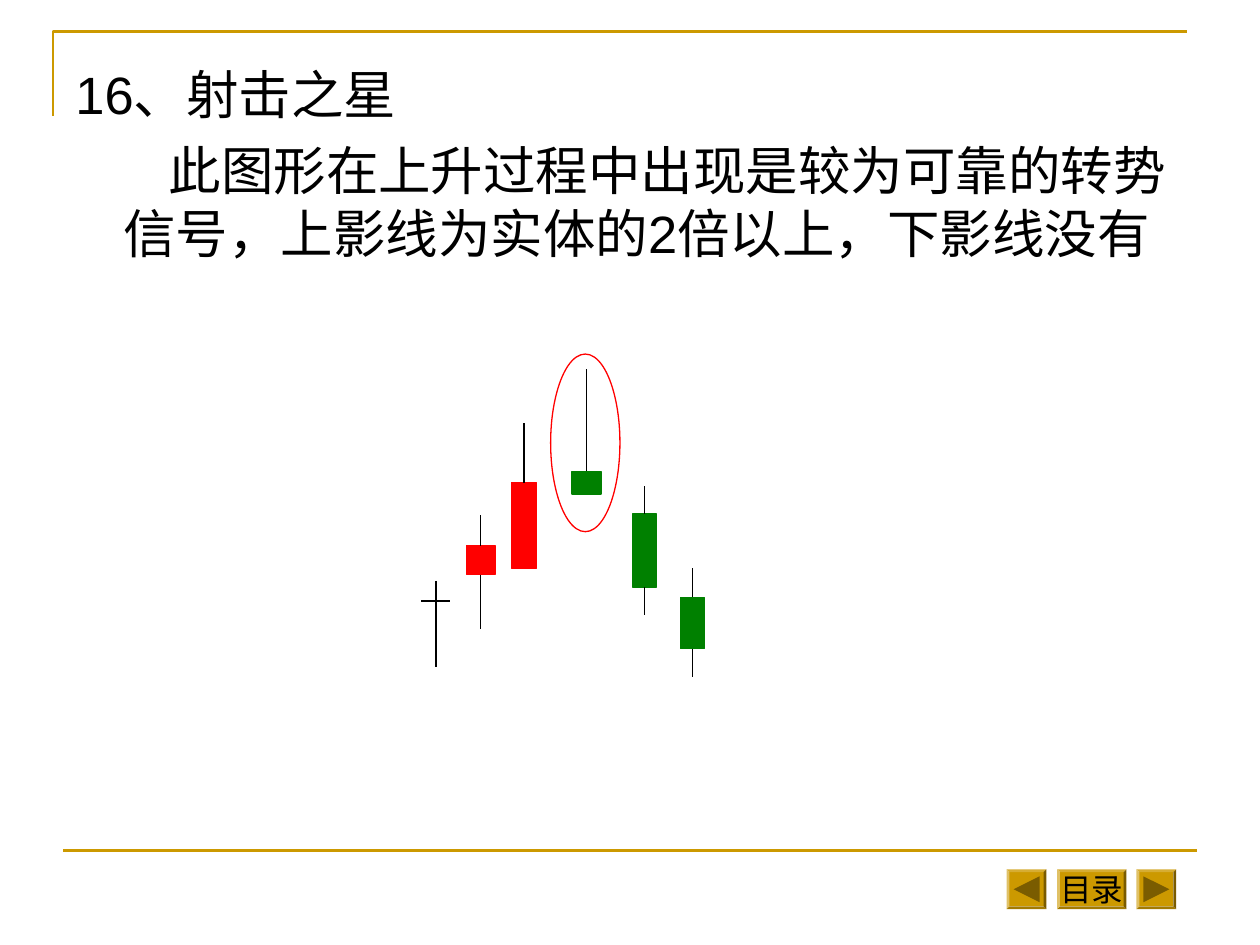
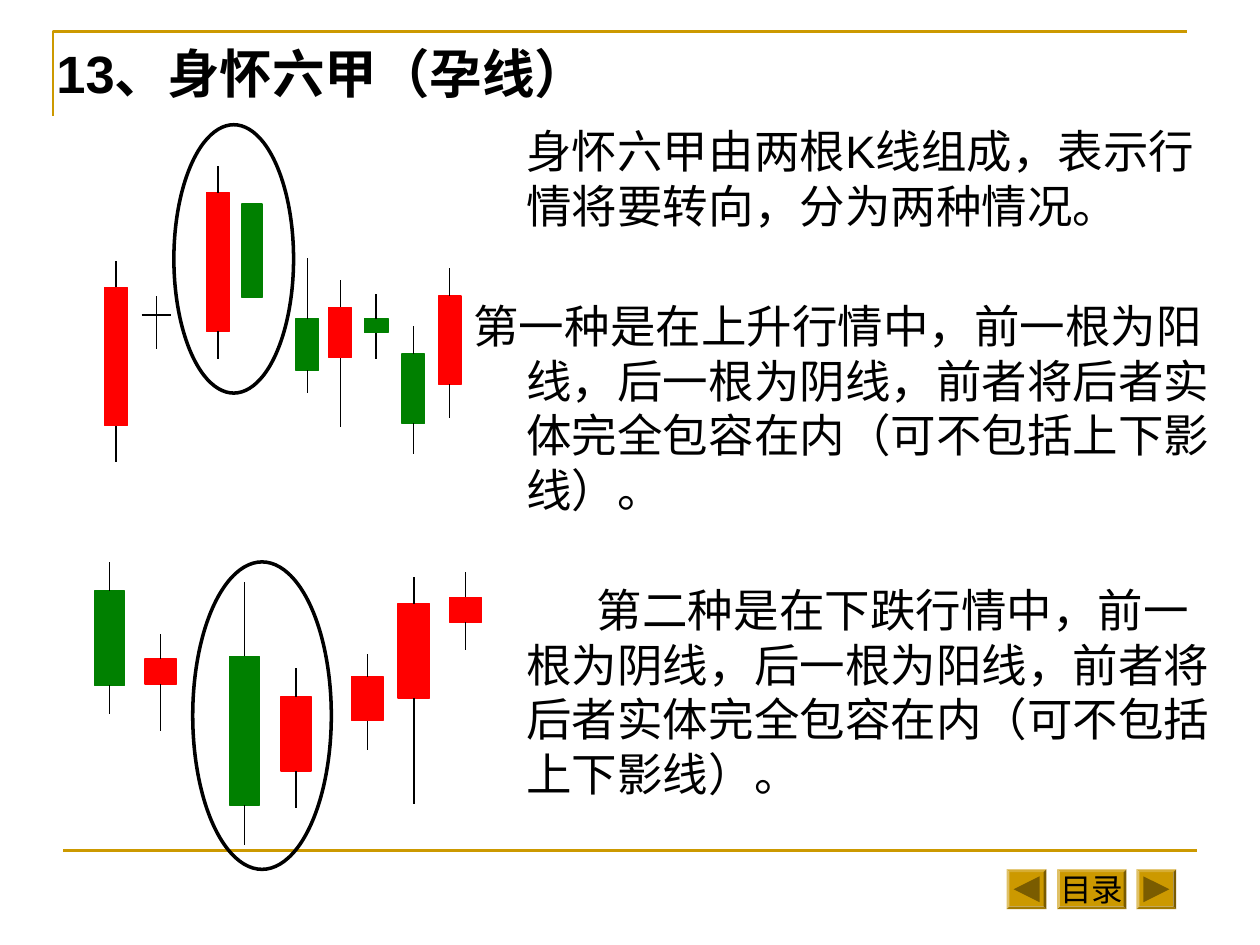
"""Build two slides on candlestick patterns, on a grid of 100 columns by 75 rows."""
from lxml import etree
from pptx import Presentation
from pptx.dml.color import RGBColor
from pptx.enum.shapes import MSO_CONNECTOR, MSO_SHAPE
from pptx.enum.text import MSO_ANCHOR, PP_ALIGN
from pptx.oxml.ns import qn
from pptx.util import Inches, Pt

RECT, OVAL = MSO_SHAPE.RECTANGLE, MSO_SHAPE.OVAL
BEVEL, ARROW = MSO_SHAPE.BEVEL, MSO_SHAPE.ISOSCELES_TRIANGLE
STRAIGHT = MSO_CONNECTOR.STRAIGHT
MIDDLE, CENTER = MSO_ANCHOR.MIDDLE, PP_ALIGN.CENTER
TOP, BOTTOM = 0, 2
COLS = 100
HUES = {"gold": "CC9900", "dark": "7A5C00", "ink": "000000",
        "up": "FF0000", "down": "008000"}
FORMS = {
    "head": {"name": "Arial", "size": Pt(30), "bold": True},
    "large": {"name": "Arial", "size": Pt(30), "bold": False},
    "body": {"name": "Arial", "size": Pt(26), "bold": False},
    "menu": {"name": "Arial", "size": Pt(18), "bold": False},
}


class Deck:
    def __init__(self):
        self.prs = Presentation()
        self.prs.slide_width, self.prs.slide_height = Inches(10), Inches(7.5)
        self.cell = self.prs.slide_width / COLS

    def grid(self, *sizes):
        return [round(size * self.cell) for size in sizes]

    def color(self, hue):
        return RGBColor.from_string(HUES[hue])

    def page(self):
        self.slide = self.prs.slides.add_slide(self.prs.slide_layouts[6])
        self.shapes = self.slide.shapes
        self.frame()
        for left, width, turn in ((79.9, 3.15, -90), (83.9, 5.5, 0), (90.2, 3.15, 90)):
            self.button(left, width, turn)

    def paint(self, shape, fill=None, line=None, weight=0.75):
        shape.shadow.inherit = False
        if fill:
            shape.fill.solid()
            shape.fill.fore_color.rgb = self.color(fill)
        else:
            shape.fill.background()
        if line:
            shape.line.color.rgb = self.color(line)
            shape.line.width = Pt(weight)
        else:
            shape.line.fill.background()

    def shape(self, kind, box, fill=None, line=None, weight=0.75):
        shape = self.shapes.add_shape(kind, *self.grid(*box))
        self.paint(shape, fill, line, weight)
        return shape

    def line(self, start, end, hue="ink", weight=0.75):
        line = self.shapes.add_connector(STRAIGHT, *self.grid(*start, *end))
        line.line.color.rgb = self.color(hue)
        line.line.width = Pt(weight)
        etree.SubElement(line._element.spPr, qn("a:effectLst"))
        return line

    def frame(self):
        first, *rest = [self.grid(*dot) for dot in ((4.2, 9.2), (4.2, 2.5), (94.2, 2.5))]
        edge = self.shapes.build_freeform(*first)
        edge.add_line_segments(rest, close=False)
        self.paint(edge.convert_to_shape(), line="gold", weight=1.5)
        self.line((5, 67.5), (95, 67.5), "gold", 1.5)

    def button(self, left, width, turn):
        top, high, size = 69, 3.15, 2.05
        plate = self.shape(BEVEL, (left, top, width, high), "gold")
        plate.adjustments[0] = 0.07
        if turn:
            box = (left + (width - size) / 2, top + (high - size) / 2, size, size)
            self.shape(ARROW, box, "dark").rotation = turn
        else:
            frame = plate.text_frame
            self.style(frame, {"word_wrap": False, "vertical_anchor": MIDDLE,
                               "margin_left": 0, "margin_right": 0,
                               "margin_top": 0, "margin_bottom": 0})
            self.label(frame.paragraphs[0], "目录", "menu")
            frame.paragraphs[0].alignment = CENTER

    def style(self, item, form):
        for key, value in form.items():
            setattr(item, key, value)

    def label(self, para, text, form):
        run = para.add_run()
        run.text = text
        self.style(run.font, FORMS[form])
        run.font.color.rgb = self.color("ink")

    def text(self, box, rows, form, gap=0):
        frame = self.shapes.add_textbox(*self.grid(*box)).text_frame
        frame.word_wrap = True
        for spot, (text, margin, indent) in enumerate(rows):
            para = frame.add_paragraph() if spot else frame.paragraphs[0]
            left, shift = self.grid(margin, indent)
            pr = para._p.get_or_add_pPr()
            pr.set("marL", str(left))
            pr.set("indent", str(shift))
            if spot:
                para.space_before = Pt(gap)
            self.label(para, text, form)

    def candle(self, hue, left, wide, high, top, base, low):
        body = self.shape(RECT, (left, top, wide, base - top), hue, hue)
        mid = left + wide / 2
        for side, edge, tip in ((TOP, top, high), (BOTTOM, base, low)):
            if tip != edge:
                self.line((mid, edge), (mid, tip)).begin_connect(body, side)

    def cross(self, mid, high, level, low, half=1.15):
        self.line((mid, high), (mid, low))
        self.line((mid - half, level), (mid + half, level))

    def ring(self, box, hue="ink", weight=2):
        self.shape(OVAL, box, line=hue, weight=weight)


def star(deck):
    deck.page()
    deck.text((5, 4.4, 90, 62.6), [
        ("16、射击之星", 3.8, -3.8),
        ("此图形在上升过程中出现是较为可靠的转势信号，上影线为实体的2倍以上，下影线没有", 3.8, 3.6),
    ], "large", 7.5)
    deck.ring((43.7, 28.1, 5.5, 14.1), "up", 0.75)
    deck.cross(34.6, 46.1, 47.7, 52.9)
    for row in (
        ("up", 37, 2.3, 40.9, 43.3, 45.6, 49.9),
        ("up", 40.6, 2, 33.6, 38.3, 45.1, 45.1),
        ("down", 45.4, 2.3, 29.3, 37.4, 39.2, 39.2),
        ("down", 50.2, 1.9, 38.6, 40.8, 46.6, 48.8),
        ("down", 54, 1.9, 45.1, 47.4, 51.5, 53.7),
    ):
        deck.candle(*row)


def harami(deck):
    deck.page()
    deck.text((3.5, 2.8, 93.7, 6), [("13、身怀六甲（孕线）", 0, 0)], "head")
    deck.text((3.5, 9.3, 93.7, 57), [
        ("身怀六甲由两根K线组成，表示行情将要转向，分为两种情况。", 37.3, 0),
        ("第一种是在上升行情中，前一根为阳线，后一根为阴线，前者将后者实体完全包容在内（可不包括上下影线）。", 37.3, -4.2),
        ("第二种是在下跌行情中，前一根为阴线，后一根为阳线，前者将后者实体完全包容在内（可不包括上下影线）。", 37.3, 5.6),
    ], "body", 37.5)
    deck.cross(12.4, 23.5, 25, 27.7)
    for row in (
        ("up", 8.3, 1.8, 20.7, 22.8, 33.8, 36.7),
        ("up", 16.4, 1.8, 13.2, 15.3, 26.3, 28.5),
        ("down", 19.2, 1.6, 16.2, 16.2, 23.6, 23.6),
        ("down", 23.5, 1.8, 20.5, 25.3, 29.4, 31.2),
        ("up", 26.1, 1.8, 22.2, 24.4, 28.4, 33.9),
        ("down", 28.9, 1.9, 23.3, 25.3, 26.4, 28.5),
        ("down", 31.9, 1.8, 25.9, 28.1, 33.6, 36),
        ("up", 34.8, 1.8, 21.3, 23.5, 30.5, 33.2),
        ("down", 7.5, 2.4, 44.6, 46.9, 54.4, 56.7),
        ("up", 11.5, 2.5, 50.3, 52.3, 54.3, 58),
        ("down", 18.2, 2.4, 46.2, 52.1, 63.9, 67.1),
        ("up", 22.3, 2.4, 53, 55.3, 61.2, 64.1),
        ("up", 27.9, 2.5, 51.9, 53.7, 57.2, 59.5),
        ("up", 31.6, 2.5, 45.8, 47.9, 55.4, 63.8),
        ("up", 35.7, 2.5, 45.4, 47.4, 49.4, 51.6),
    ):
        deck.candle(*row)
    deck.ring((15.3, 44.6, 11, 24.4))
    deck.ring((13.8, 9.9, 9.5, 21.3))


def main():
    deck = Deck()
    star(deck)
    harami(deck)
    deck.prs.save("out.pptx")


if __name__ == "__main__":
    main()
